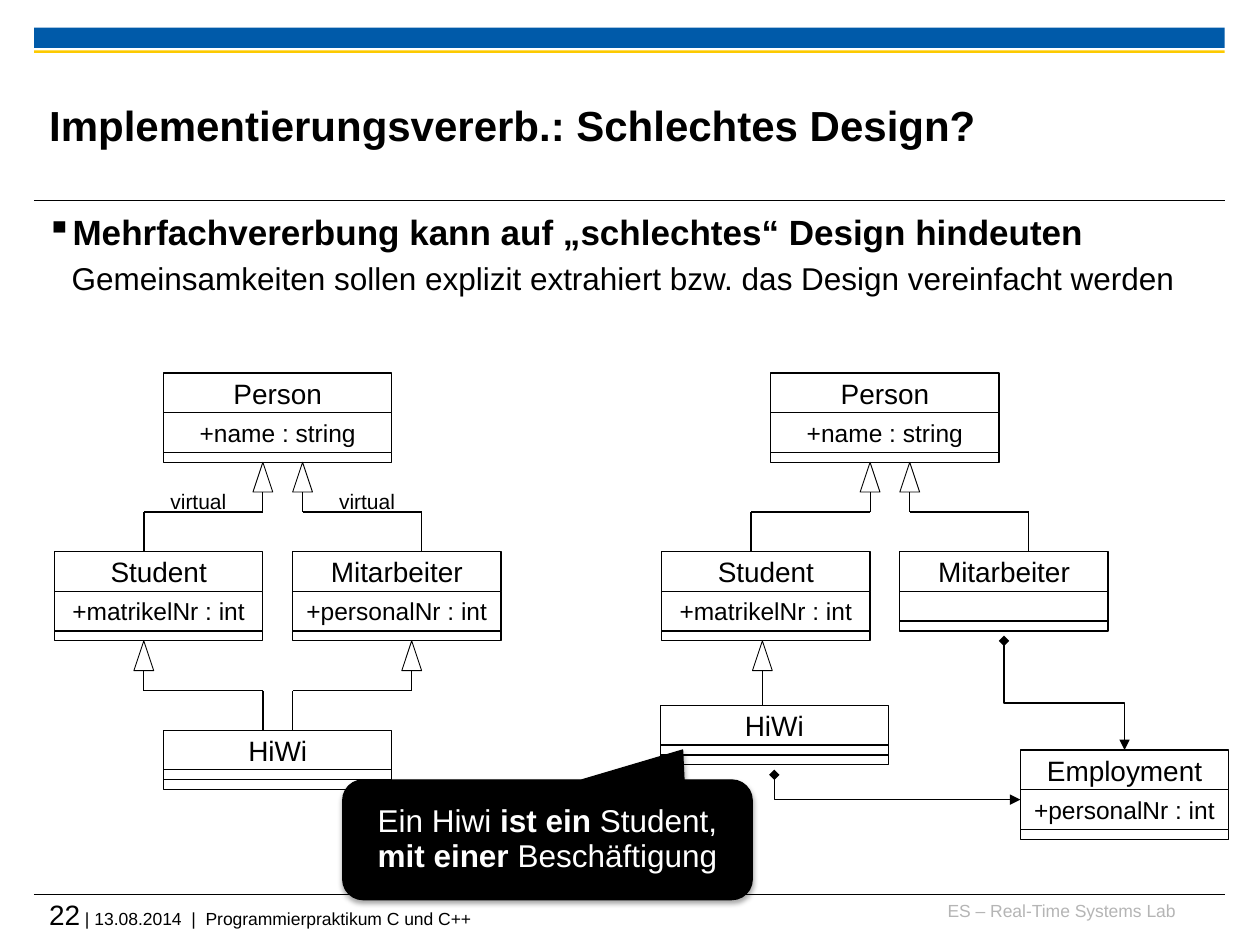
from dataclasses import dataclass
from lxml.etree import SubElement
from pptx import Presentation
from pptx.dml.color import RGBColor
from pptx.enum.shapes import MSO_CONNECTOR as LINK, MSO_SHAPE as SHAPE
from pptx.enum.text import MSO_ANCHOR as ANCHOR, MSO_AUTO_SIZE as FIT, PP_ALIGN as ALIGN
from pptx.oxml.ns import qn
from pptx.util import Inches, Mm, Pt


@dataclass(frozen=True)
class Theme:
    font: str = "Arial"
    ink: str = "000000"
    paper: str = "FFFFFF"
    blue: str = "005AA9"
    gold: str = "FDCA00"
    gray: str = "B5B5B5"
    title: int = 24
    lead: int = 20
    body: int = 18
    name: int = 16
    field: int = 14
    label: int = 12
    foot: int = 10
    thin: float = 0.5
    rule: float = 0.6
    edge: float = 0.75


T = Theme()
WIDE, HIGH = 10, 7.5
LEFT, SPAN = 0.27, 9.45

TITLE = "Implementierungsvererb.: Schlechtes Design?"
LEAD = "Mehrfachvererbung kann auf „schlechtes“ Design hindeuten"
SUB = "Gemeinsamkeiten sollen explizit extrahiert bzw. das Design vereinfacht werden"
PAGE, FOOT = "22", " | 13.08.2014  |  Programmierpraktikum C und C++"
LAB = "ES – Real-Time Systems Lab"
CALL = [("Ein Hiwi ", False), ("ist ein", True), (" Student, ", False),
        ("mit einer ", True), ("Beschäftigung", False)]

# Diagram lengths are millimetres from each diagram's own origin.
ROW, SLIM, BIG, SMALL = 8, 2, 46, 42
TIPW, TIPH, STUB = 4, 6, 4
PERSON = (22, 0, BIG, "Person", [("+name : string", ROW), ("", SLIM)])
STUDENT = (0, 36, SMALL, "Student", [("+matrikelNr : int", ROW), ("", SLIM)])
STAFF = [("+personalNr : int", ROW), ("", SLIM)]
BARE = [("", SLIM), ("", SLIM)]
UPPER = [(42, 18, 18, 36), (50, 18, 74, 36)]

GRAPHS = [
    {"at": (11, 75.2),
     "boxes": [PERSON, STUDENT,
               (48, 36, SMALL, "Mitarbeiter", STAFF),
               (22, 72, BIG, "HiWi", BARE)],
     "heirs": UPPER + [(18, 54, 42, 72), (72, 54, 48, 72)],
     "notes": [(18, 22), (52, 22)],
     "owns": []},
    {"at": (133.4, 75.2),
     "boxes": [PERSON, STUDENT,
               (48, 36, SMALL, "Mitarbeiter", [("", 6), ("", SLIM)]),
               (-0.3, 67, BIG, "HiWi", BARE),
               (72.3, 76, SMALL, "Employment", STAFF)],
     "heirs": UPPER + [(20.3, 54, 20.3, 67)],
     "notes": [],
     "owns": [(22.7, 81, 72.3, 86, "bentConnector2", None),
              (69, 54, 93.3, 76, "bentConnector3", 0.57)]},
]

deck = Presentation()
deck.slide_width, deck.slide_height = Inches(WIDE), Inches(HIGH)
page = deck.slides.add_slide(deck.slide_layouts[5])
forms = page.shapes


def rgb(tone):
    return RGBColor.from_string(tone)


def write(para, text, size=T.body, tone=T.ink, bold=False, align=ALIGN.LEFT):
    para.alignment = align
    run = para.add_run()
    run.text = text
    font = run.font
    font.name, font.size, font.bold = T.font, Pt(size), bold
    font.color.rgb = rgb(tone)


def frame(shape, pad=None, anchor=ANCHOR.TOP, wrap=True):
    body = shape.text_frame
    body.auto_size, body.word_wrap, body.vertical_anchor = FIT.NONE, wrap, anchor
    if pad is not None:
        body.margin_left = body.margin_right = pad
        body.margin_top = body.margin_bottom = pad
    return body


def area(x, y, w, h, unit=Inches, pad=None):
    return frame(forms.add_textbox(unit(x), unit(y), unit(w), unit(h)), pad)


def draw(kind, x, y, w, h, unit=Inches, fill=T.paper, edge=T.edge):
    shape = forms.add_shape(kind, unit(x), unit(y), unit(w), unit(h))
    shape.shadow.inherit = False
    shape.fill.solid()
    shape.fill.fore_color.rgb = rgb(fill)
    if edge:
        shape.line.color.rgb = rgb(T.ink)
        shape.line.width = Pt(edge)
    else:
        shape.line.fill.background()
    return shape


def join(x1, y1, x2, y2, unit=Mm, edge=T.edge, kind=LINK.STRAIGHT):
    link = forms.add_connector(kind, unit(x1), unit(y1), unit(x2), unit(y2))
    link.line.color.rgb = rgb(T.ink)
    link.line.width = Pt(edge)
    SubElement(link._element.spPr, qn("a:effectLst"))
    return link


def own(x1, y1, x2, y2, kind, bend):
    midx, midy = (x1 + x2) / 2, (y1 + y2) / 2
    dx, dy = (x2 - x1) / 2, (y2 - y1) / 2
    link = join(midx + dy, midy - dx, midx - dy, midy + dx, kind=LINK.ELBOW)
    props = link._element.spPr
    props.find(qn("a:xfrm")).set("rot", str(270 * 60000))
    geom = props.find(qn("a:prstGeom"))
    geom.set("prst", kind)
    if bend:
        link_adj = geom.find(qn("a:avLst"))
        SubElement(link_adj, qn("a:gd"), name="adj1", fmla=f"val {round(bend * 100000)}")
    line = props.find(qn("a:ln"))
    SubElement(line, qn("a:headEnd"), type="diamond")
    SubElement(line, qn("a:tailEnd"), type="triangle")


def heir(tip, top, foot, base):
    draw(SHAPE.ISOSCELES_TRIANGLE, tip - TIPW / 2, top, TIPW, TIPH, Mm, edge=T.thin)
    low = top + TIPH
    if tip == foot:
        join(tip, low, foot, base, edge=T.thin)
        return
    bend = low + STUB
    join(tip, low, tip, bend, edge=T.thin)
    join(tip, bend, foot, bend)
    join(foot, bend, foot, base)


def box(x, y, w, name, rows):
    for i, (text, h) in enumerate([(name, ROW)] + rows):
        cell = draw(SHAPE.RECTANGLE, x, y, w, h, Mm)
        if text:
            body = frame(cell, anchor=ANCHOR.MIDDLE, wrap=False)
            write(body.paragraphs[0], text, size=T.field if i else T.name, align=ALIGN.CENTER)
        y += h


for y, h, tone in [(0.22, 0.16, T.blue), (0.4, 0.02, T.gold)]:
    draw(SHAPE.RECTANGLE, LEFT, y, SPAN, h, fill=tone, edge=None)
for y in (1.59, 7.1):
    join(LEFT, y, LEFT + SPAN, y, Inches, T.rule)

write(area(7.36, 7.14, 1.97, 0.25, pad=0).paragraphs[0], LAB,
      size=T.foot, tone=T.gray, align=ALIGN.RIGHT)
foot = area(0.39, 7.12, 9.33, 0.33, pad=0).paragraphs[0]
write(foot, PAGE, size=T.name)
write(foot, FOOT, size=T.foot)

head = forms.title
head.left, head.top, head.width, head.height = map(Inches, (0.39, 0.53, 7.52, 0.92))
write(frame(head, 0, ANCHOR.MIDDLE).paragraphs[0], TITLE, size=T.title, bold=True)

body = area(LEFT, 1.62, SPAN, 0.95)
lead, sub = body.paragraphs[0], body.add_paragraph()
for para, hang in ((lead, -0.2), (sub, 0)):
    props = para._p.get_or_add_pPr()
    props.set("marL", str(Inches(0.2)))
    props.set("indent", str(Inches(hang)))
SubElement(lead._p.pPr, qn("a:buChar"), char="▪")
write(lead, LEAD, size=T.lead, bold=True)
write(sub, SUB)
sub.space_before = Pt(4)

for graph in GRAPHS:
    ox, oy = graph["at"]
    for x, y, *rest in graph["boxes"]:
        box(ox + x, oy + y, *rest)
    for tip, top, base, low in graph["heirs"]:
        heir(ox + tip, oy + top, ox + base, oy + low)
    for x, y in graph["notes"]:
        note = area(ox + x, oy + y, 22, 7.6, Mm)
        write(note.paragraphs[0], "virtual", size=T.label, align=ALIGN.CENTER)
    for x1, y1, x2, y2, kind, bend in graph["owns"]:
        own(ox + x1, oy + y1, ox + x2, oy + y2, kind, bend)

call = draw(SHAPE.ROUNDED_RECTANGULAR_CALLOUT, 2.72, 6.19, 3.25, 0.95, fill=T.ink)
for i, share in enumerate((0.33, -0.75, 0.17)):
    call.adjustments[i] = share
glow = SubElement(call._element.spPr.find(qn("a:effectLst")), qn("a:outerShdw"),
                  blurRad=str(Pt(3.1)), dist=str(Pt(1.8)), dir=str(90 * 60000), rotWithShape="0")
tint = SubElement(glow, qn("a:srgbClr"), val=T.ink)
SubElement(tint, qn("a:alpha"), val="35000")
speech = frame(call, anchor=ANCHOR.MIDDLE).paragraphs[0]
speech.line_spacing = 0.93
for text, bold in CALL:
    write(speech, text, tone=T.paper, bold=bold, align=ALIGN.CENTER)

deck.save("out.pptx")
